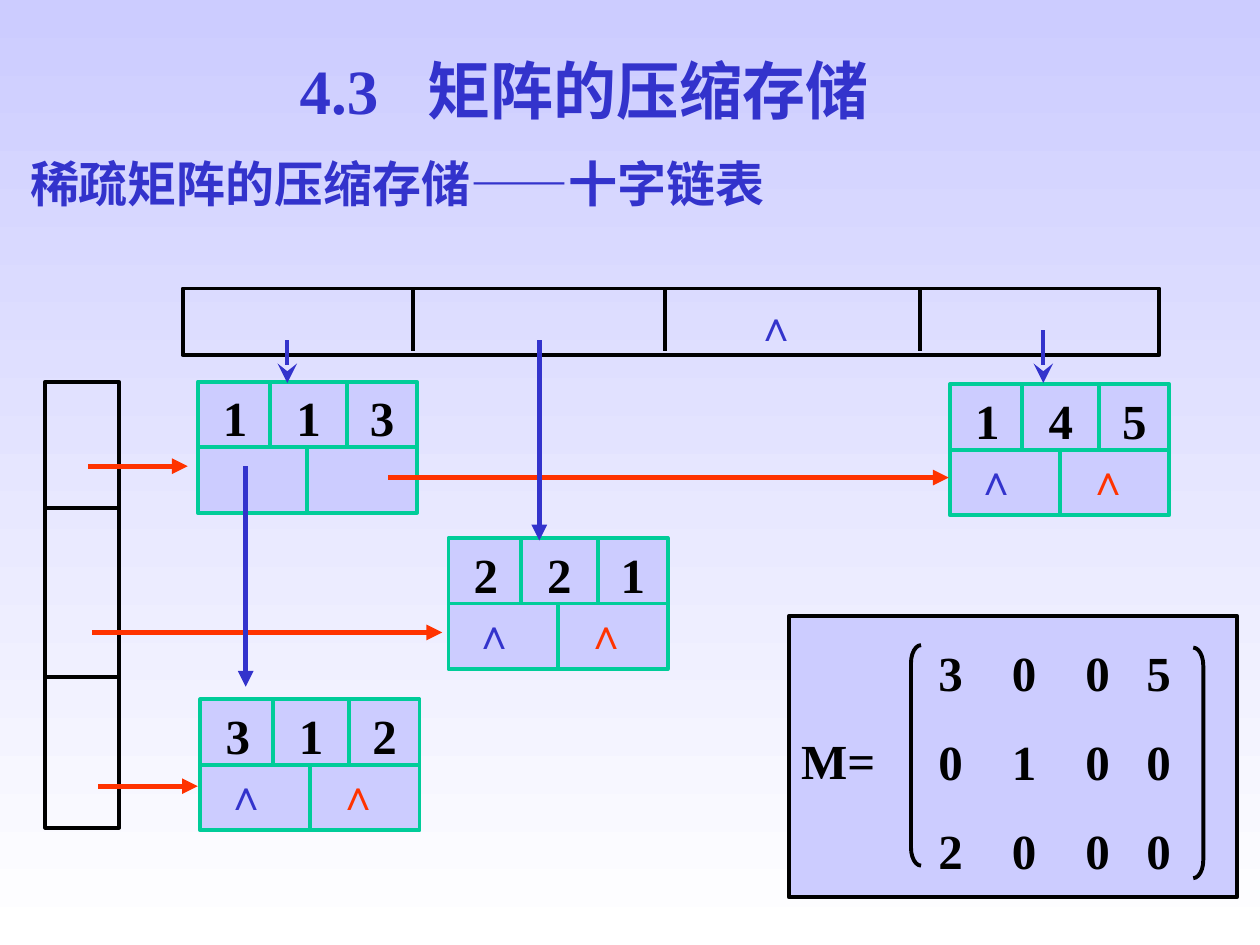
from pptx import Presentation
from pptx.dml.color import RGBColor
from pptx.enum.shapes import MSO_CONNECTOR as Connector, MSO_SHAPE as Shape
from pptx.enum.text import MSO_ANCHOR as Anchor, MSO_AUTO_SIZE as AutoSize, PP_ALIGN as Align
from pptx.oxml.ns import qn
from pptx.util import Inches, Pt
from lxml.etree import SubElement

BLUE = RGBColor(0x33, 0x33, 0xCC)
RED = RGBColor(0xFF, 0x33, 0x00)
GREEN = RGBColor(0x00, 0xCC, 0x99)
LILAC = RGBColor(0xCC, 0xCC, 0xFF)
WHITE = RGBColor(0xFF, 0xFF, 0xFF)
BLACK = RGBColor(0x00, 0x00, 0x00)
TIMES, NOTO = "Times New Roman", "Noto Sans CJK SC"
NULL = "∧"
TAB_GAP = 5.83  # distance between digit columns
NODE_WIDTH, NODE_HEIGHT = 17.4, 10.4


def grid(*units):
    """Lengths on a grid of 100 columns by 75 rows."""
    return [Inches(unit / 10) for unit in units]


def add_span(para, text, size, color, font=TIMES, asian=None):
    span = para.add_run()
    span.text = text
    span.font.color.rgb = color
    for name, value in {"size": Pt(size), "bold": True, "name": font}.items():
        setattr(span.font, name, value)
    SubElement(span._r.get_or_add_rPr(), qn("a:ea")).set("typeface", asian or font)


def format_frame(frame, left=1, right=1, top=0.5):
    margin_left, margin_right, margin_top = grid(left, right, top)
    settings = {
        "word_wrap": True, "auto_size": AutoSize.NONE, "vertical_anchor": Anchor.TOP,
        "margin_left": margin_left, "margin_right": margin_right,
        "margin_top": margin_top, "margin_bottom": margin_top,
    }
    for name, value in settings.items():
        setattr(frame, name, value)
    return frame.paragraphs[0]


def add_text(page, box, spans, size, color, **insets):
    """A text box; each span is a text with its font and its Asian font."""
    para = format_frame(page.shapes.add_textbox(*grid(*box)).text_frame, **insets)
    for text, *fonts in spans:
        add_span(para, text, size, color, *fonts)
    return para


def set_tabs(para, stops):
    tab_list = SubElement(para._p.get_or_add_pPr(), qn("a:tabLst"))
    for stop in stops:
        tab = SubElement(tab_list, qn("a:tab"))
        tab.set("pos", str(grid(stop)[0]))
        tab.set("algn", "l")


def add_outline(page, kind, box, line, fill=None):
    shape = page.shapes.add_shape(kind, *grid(*box))
    shape.shadow.inherit = False
    shape.line.color.rgb = line
    shape.line.width = Pt(2.25)
    if fill is None:
        shape.fill.background()
    else:
        shape.fill.solid()
        shape.fill.fore_color.rgb = fill
    return shape


def add_line(page, start, end, color, width=2.25, arrow=None, head="med"):
    line = page.shapes.add_connector(Connector.STRAIGHT, *grid(*start, *end))
    line.line.color.rgb = color
    line.line.width = Pt(width)
    if arrow:
        tail = SubElement(line.line._get_or_add_ln(), qn("a:tailEnd"))
        for name, value in {"type": arrow, "w": head, "len": head}.items():
            tail.set(name, value)
    SubElement(line._element.spPr, qn("a:effectLst"))
    return line


def add_headings(page):
    title = page.shapes.title
    title.left, title.top, title.width, title.height = grid(20.8, 3.6, 51.1, 7)
    para = format_frame(title.text_frame)
    para.alignment = Align.CENTER
    for text, size in (("4.3", 36), ("　", 28), ("矩阵的压缩存储", 36)):
        add_span(para, text, size, BLUE, TIMES, NOTO)

    spans = (("稀疏矩阵的压缩存储", NOTO), ("——", TIMES, NOTO), ("十字链表", NOTO))
    add_text(page, (1.4, 11.7, 72.2, 5.7), spans, 28, BLUE)


def add_column_heads(page, left, top, width, height):
    add_outline(page, Shape.RECTANGLE, (left, top, width, height), BLACK)
    for offset in (18.3, 38.3, 58.5):
        x = left + offset
        add_line(page, (x, top), (x, top + height * 0.94), BLACK)
    add_text(page, (left + 44.5, top + 0.4, 6, 5), [(NULL,)], 24, BLUE)


def add_row_heads(page, left, top, width, height):
    add_outline(page, Shape.RECTANGLE, (left, top, width, height), BLACK)
    for offset in (10, 23.4):
        y = top + offset
        add_line(page, (left, y), (left + width, y), BLACK)


def add_node(page, left, top, digits, nulls):
    """A node: row, column and value above, down and right pointers below."""
    middle = top + NODE_HEIGHT / 2
    center = left + NODE_WIDTH / 2
    node = add_outline(page, Shape.RECTANGLE, (left, top, NODE_WIDTH, NODE_HEIGHT), GREEN, LILAC)
    para = format_frame(node.text_frame, left=2, right=0)
    para.alignment = Align.LEFT
    add_span(para, "\t".join(digits), 28, BLACK)
    set_tabs(para, (TAB_GAP, 2 * TAB_GAP))

    divider = add_line(page, (left, middle), (left + NODE_WIDTH, middle), GREEN)
    divider.begin_connect(node, 1)
    divider.end_connect(node, 3)
    for share in (0.33, 0.68):
        x = left + NODE_WIDTH * share
        add_line(page, (x, top), (x, middle), GREEN)
    split = add_line(page, (center, middle), (center, top + NODE_HEIGHT), GREEN)
    split.end_connect(node, 2)

    for offset, color in zip((2, 10.9), nulls):
        if color is not None:
            box = (left + offset, top + 5.5, 4.1, 4)
            add_text(page, box, [(NULL,)], 24, color, left=0, right=0, top=0)


def add_matrix(page, left, top, width, height):
    add_outline(page, Shape.RECTANGLE, (left, top, width, height), BLACK, LILAC)
    add_text(page, (left, top + 8.6, 9, 5.7), [("M=",)], 28, BLACK)
    for index, row in enumerate(("3005", "0100", "2000")):
        box = (left + 10.9, top + 1.6 + 7.05 * index, 28, 5.7)
        para = add_text(page, box, [("\t".join(row),)], 28, BLACK)
        set_tabs(para, (TAB_GAP, 2 * TAB_GAP, 16.5))
    brackets = (
        (Shape.LEFT_BRACKET, 9.7, 2.3, 17.5),
        (Shape.RIGHT_BRACKET, 32.1, 2.5, 18.3),
    )
    for kind, across, down, tall in brackets:
        bracket = add_outline(page, kind, (left + across, top + down, 0.8, tall), BLACK)
        bracket.adjustments[0] = 1.8


def add_links(page):
    # Row links
    for left, right, y in ((7, 14.9, 37), (30.8, 75.3, 37.9), (7.3, 35.1, 50.2), (7.8, 15.7, 62.4)):
        add_line(page, (left, y), (right, y), RED, 3, "triangle")
    # Column links
    for x, top, bottom in ((42.8, 27, 42.9), (19.5, 37, 54.5)):
        add_line(page, (x, top), (x, bottom), BLUE, 3, "triangle")
    for x, top in ((22.8, 27), (82.8, 26.2)):
        add_line(page, (x, top), (x, 30.4), BLUE, 2.25, "stealth", "lg")


def main():
    deck = Presentation()
    deck.slide_width, deck.slide_height = grid(100, 75)
    page = deck.slides.add_slide(deck.slide_layouts[5])

    # Background runs from lilac down to white
    fill = page.background.fill
    fill.gradient()
    fill.gradient_angle = 270
    for stop, color in zip(fill.gradient_stops, (LILAC, WHITE)):
        stop.color.rgb = color

    add_headings(page)
    add_matrix(page, 62.6, 48.9, 35.6, 22.3)
    add_row_heads(page, 3.6, 30.3, 5.85, 35.4)
    add_column_heads(page, 14.5, 22.9, 77.5, 5.3)
    nodes = (
        (15.7, 30.3, "113", (None, None)),
        (75.4, 30.5, "145", (BLUE, RED)),
        (35.6, 42.7, "221", (BLUE, RED)),
        (15.9, 55.5, "312", (BLUE, RED)),
    )
    for node in nodes:
        add_node(page, *node)
    add_links(page)
    deck.save("out.pptx")


if __name__ == "__main__":
    main()
